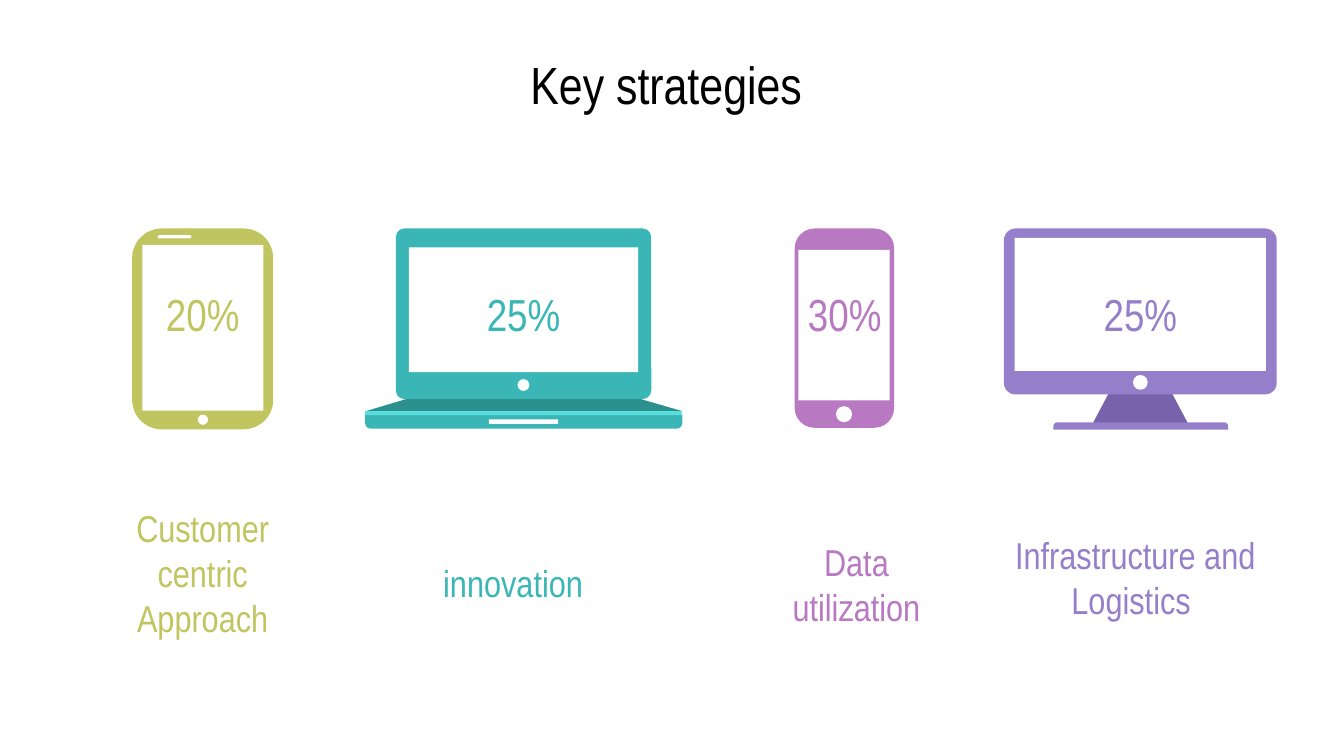
from pptx import Presentation
from pptx.dml.color import RGBColor
from pptx.enum.shapes import MSO_SHAPE
from pptx.enum.text import MSO_ANCHOR, PP_ALIGN
from pptx.util import Inches, Pt

RECTANGLE = MSO_SHAPE.RECTANGLE
ROUNDED = MSO_SHAPE.ROUNDED_RECTANGLE
ROUNDED_ENDS = MSO_SHAPE.ROUND_2_SAME_RECTANGLE
OVAL = MSO_SHAPE.OVAL
MIDDLE = MSO_ANCHOR.MIDDLE
CENTER = PP_ALIGN.CENTER

COLORS = {
    "title": "000000",
    "white": "FFFFFF",
    "tablet": "C0C55F",
    "laptop": "39B6B5",
    "hinge": "2C908F",
    "edge": "59DEDD",
    "phone": "B878C2",
    "monitor": "957FCA",
    "stand": "7862AB",
}
COLUMNS, ROWS = 100, 56.25
DEVICE_TOP = 17


class Sketch:
    font_name = "Arial Narrow"

    def __init__(self, presentation):
        self.slide = presentation.slides.add_slide(presentation.slide_layouts[6])
        self.column = presentation.slide_width / COLUMNS
        self.row = presentation.slide_height / ROWS

    def point(self, column, row):
        return round(column * self.column), round(row * self.row)

    def paint(self, shape, color):
        shape.shadow.inherit = False
        shape.fill.solid()
        shape.fill.fore_color.rgb = RGBColor.from_string(COLORS[color])
        shape.line.fill.background()

    def block(self, kind, left, top, width, height, color="white", rounding=()):
        shape = self.slide.shapes.add_shape(
            kind, *self.point(left, top), *self.point(width, height)
        )
        for index, value in enumerate(rounding):
            shape.adjustments[index] = value
        self.paint(shape, color)

    def button(self, center, middle, size):
        self.block(OVAL, center - size / 2, middle - size / 2, size, size)

    def polygon(self, corners, color):
        points = [self.point(*corner) for corner in corners]
        builder = self.slide.shapes.build_freeform(*points[0])
        builder.add_line_segments(points[1:], close=True)
        self.paint(builder.convert_to_shape(), color)

    def text(self, lines, left, top, width, height, size, color):
        box = self.slide.shapes.add_textbox(
            *self.point(left, top), *self.point(width, height)
        )
        frame = box.text_frame
        frame.word_wrap = True
        frame.vertical_anchor = MIDDLE
        frame.margin_left = frame.margin_right = Inches(0.1)
        frame.margin_top = frame.margin_bottom = Inches(0.1)
        for index, line in enumerate(lines):
            paragraph = frame.add_paragraph() if index else frame.paragraphs[0]
            paragraph.alignment = CENTER
            run = paragraph.add_run()
            run.text = line
            run.font.name = self.font_name
            run.font.size = Pt(size)
            run.font.color.rgb = RGBColor.from_string(COLORS[color])

    def share(self, value, left, color):
        self.text([value], left, 20.75, 17.1, 5.2, 24, color)

    def label(self, lines, left, top, width, height, color):
        self.text(lines, left, top, width, height, 20, color)


def draw_tablet(sketch):
    sketch.block(ROUNDED, 9.83, DEVICE_TOP, 10.5, 14.95, "tablet", [0.21])
    sketch.block(RECTANGLE, 10.6, 18.23, 9, 12.33)
    sketch.block(ROUNDED, 11.74, 17.5, 2.5, 0.24, rounding=[0.5])
    sketch.button(15.1, 31.23, 0.76)
    sketch.share("20%", 6.53, "tablet")
    sketch.label(["Customer centric Approach "], 9.03, 40.83, 12.1, 3.5, "tablet")


def draw_laptop(sketch):
    sketch.block(ROUNDED, 29.46, DEVICE_TOP, 19, 12.7, "laptop", [0.05])
    sketch.block(RECTANGLE, 30.43, 18.4, 17.05, 9.3)
    sketch.polygon(
        [(47.7, 29.7), (30.2, 29.7), (27.2, 30.6), (39, 30.9), (50.8, 30.6)], "hinge"
    )
    sketch.block(ROUNDED_ENDS, 27.17, 30.85, 23.6, 1.05, "laptop", [0, 0.4])
    sketch.block(RECTANGLE, 36.38, 31.2, 5.15, 0.35)
    sketch.block(RECTANGLE, 27.17, 30.6, 23.55, 0.3, "edge")
    sketch.button(38.95, 28.65, 0.88)
    sketch.share("25%", 30.4, "laptop")
    sketch.label(["innovation "], 30.8, 35.85, 15.4, 15, "laptop")


def draw_phone(sketch):
    sketch.block(ROUNDED, 59.13, DEVICE_TOP, 7.4, 14.83, "phone", [0.2])
    sketch.block(RECTANGLE, 59.4, 18.6, 6.8, 11.2)
    sketch.button(62.8, 30.82, 1.2)
    sketch.share("30%", 54.3, "phone")
    sketch.label(["Data ", "utilization "], 53.4, 38.4, 21.3, 10.1, "phone")


def draw_monitor(sketch):
    sketch.polygon([(86.8, 28.5), (82.9, 28.5), (81.1, 31.9), (88.6, 31.9)], "stand")
    sketch.block(ROUNDED, 74.7, DEVICE_TOP, 20.3, 12.35, "monitor", [0.07])
    sketch.block(RECTANGLE, 75.5, 17.7, 18.7, 9.9)
    sketch.block(ROUNDED_ENDS, 78.38, 31.43, 13, 0.55, "monitor", [0.5, 0])
    sketch.button(84.85, 28.45, 1.1)
    sketch.share("25%", 76.3, "monitor")
    sketch.label(["Infrastructure and Logistics "], 73.83, 38.5, 21.3, 8.9, "monitor")


def main():
    presentation = Presentation()
    presentation.slide_width = Inches(10)
    presentation.slide_height = presentation.slide_width * 9 // 16
    sketch = Sketch(presentation)
    sketch.text(["Key strategies "], 27.5, 4.5, 45, 3.5, 28, "title")
    for draw_device in (draw_tablet, draw_laptop, draw_phone, draw_monitor):
        draw_device(sketch)
    presentation.save("out.pptx")


if __name__ == "__main__":
    main()
